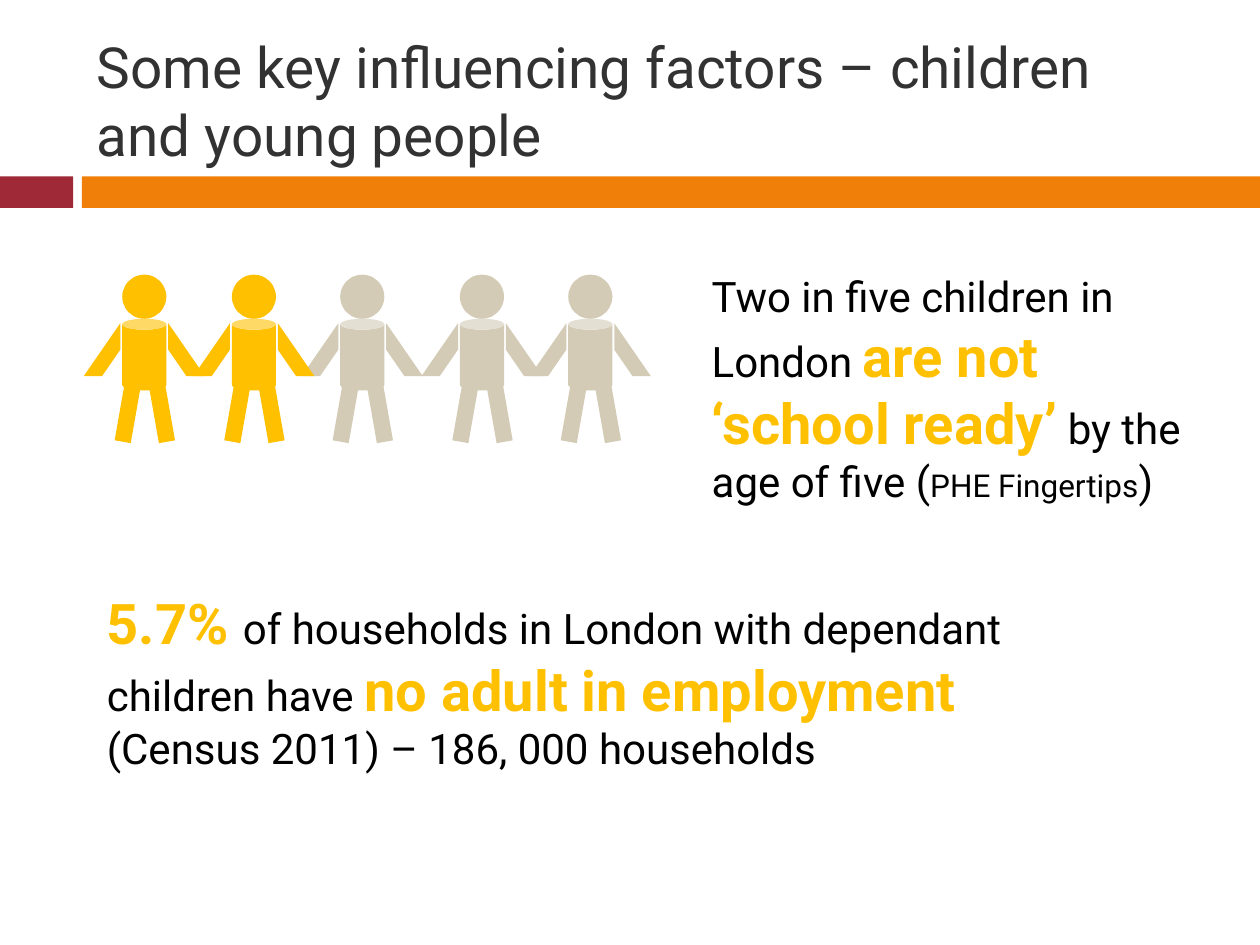
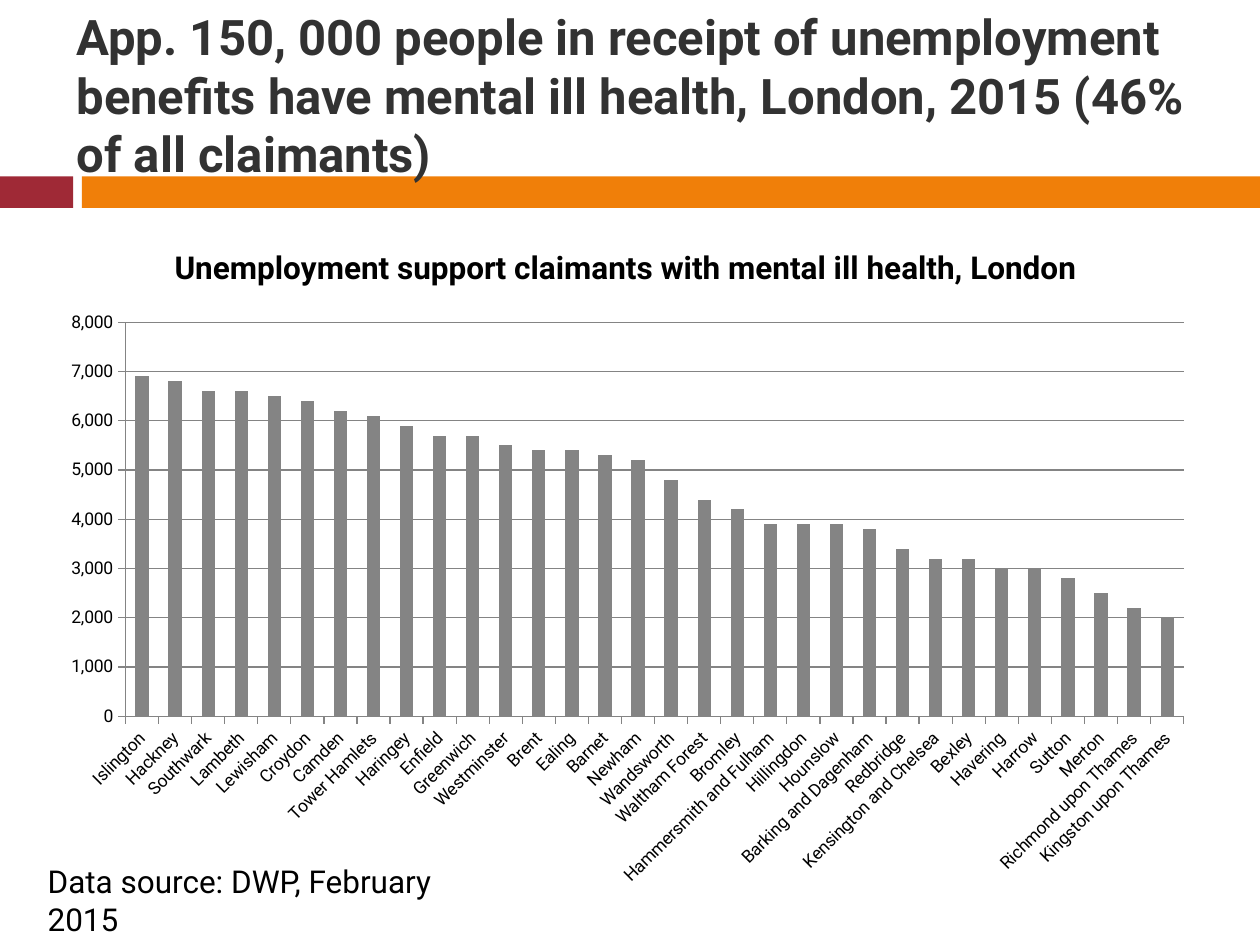
from lxml import etree
from pptx import Presentation
from pptx.chart.data import CategoryChartData
from pptx.dml.color import RGBColor
from pptx.enum.chart import XL_CHART_TYPE, XL_TICK_MARK
from pptx.enum.shapes import MSO_SHAPE
from pptx.enum.text import MSO_ANCHOR
from pptx.oxml.ns import qn
from pptx.util import Inches, Pt

RECT = MSO_SHAPE.RECTANGLE
STRIPE = MSO_SHAPE.DIAGONAL_STRIPE
CAN = MSO_SHAPE.CAN
DISC = MSO_SHAPE.FLOWCHART_CONNECTOR
COLUMN = XL_CHART_TYPE.COLUMN_CLUSTERED
OUT = XL_TICK_MARK.OUTSIDE
NONE = XL_TICK_MARK.NONE
TOP = MSO_ANCHOR.TOP
MIDDLE = MSO_ANCHOR.MIDDLE

FONT = "Roboto"
BLACK, INK, GREY = "000000", "323232", "848484"
RED, ORANGE, GOLD, SAND = "9F2936", "F07F09", "FFC000", "D3CBB6"

CLAIMS = {
    "Islington": 6900, "Hackney": 6800, "Southwark": 6600, "Lambeth": 6600,
    "Lewisham": 6500, "Croydon": 6400, "Camden": 6200, "Tower Hamlets": 6100,
    "Haringey": 5900, "Enfield": 5700, "Greenwich": 5700, "Westminster": 5500,
    "Brent": 5400, "Ealing": 5400, "Barnet": 5300, "Newham": 5200,
    "Wandsworth": 4800, "Waltham Forest": 4400, "Bromley": 4200,
    "Hammersmith and Fulham": 3900, "Hillingdon": 3900, "Hounslow": 3900,
    "Barking and Dagenham": 3800, "Redbridge": 3400,
    "Kensington and Chelsea": 3200, "Bexley": 3200, "Havering": 3000,
    "Harrow": 3000, "Sutton": 2800, "Merton": 2500,
    "Richmond upon Thames": 2200, "Kingston upon Thames": 2000,
}


def color(code):
    return RGBColor.from_string(code)


def style(font, size=24, hue=BLACK, bold=False):
    font.name, font.size, font.bold = FONT, Pt(size), bold
    font.color.rgb = color(hue)


def write(para, text, **form):
    run = para.add_run()
    run.text = text
    style(run.font, **form)


class Deck:
    """Holds the shared style and the current slide."""

    def __init__(self):
        self.file = Presentation()
        self.file.slide_width, self.file.slide_height = Inches(10), Inches(7.5)

    def page(self, title, box, **form):
        self.slide = self.file.slides.add_slide(self.file.slide_layouts[6])
        self.shape(RECT, (0, 1.4, 0.58, 0.25), RED)
        self.shape(RECT, (0.65, 1.4, 9.35, 0.25), ORANGE)
        self.text(box, [(title, dict(hue=INK, **form))], MIDDLE)

    def shape(self, kind, box, hue, turn=0, flip=False, group=None):
        shapes = (group or self.slide).shapes
        shape = shapes.add_shape(kind, *map(Inches, box))
        shape.shadow.inherit = False
        shape.fill.solid()
        shape.fill.fore_color.rgb = color(hue)
        shape.line.fill.background()
        shape.rotation = turn
        if flip:
            shape.element.spPr.find(qn("a:xfrm")).set("flipV", "1")

    def text(self, box, runs, anchor=TOP):
        frame = self.slide.shapes.add_textbox(*map(Inches, box)).text_frame
        frame.word_wrap = True
        frame.vertical_anchor = anchor
        for words, form in runs:
            write(frame.paragraphs[0], words, **form)

    def child(self, left, hue):
        group = self.slide.shapes.add_group_shape()
        parts = [
            (STRIPE, 0.3, 2.63, 0.42, 0.29, 270),
            (STRIPE, -0.37, 2.63, 0.42, 0.29, 270),
            (CAN, 0, 2.53, 0.35, 0.57, 0),
            (RECT, -0.02, 3.04, 0.13, 0.47, 10),
            (RECT, 0.25, 3.04, 0.13, 0.47, 350),
            (DISC, 0, 2.18, 0.35, 0.35, 0),
        ]
        for kind, shift, top, width, height, turn in parts:
            box = (left + shift, top, width, height)
            self.shape(kind, box, hue, turn, shift == -0.37, group)

    def chart(self, box, title, values, plot):
        data = CategoryChartData(number_format="#,##0")
        data.categories = list(values)
        data.add_series("Series 1", list(values.values()))
        frame = self.slide.shapes.add_chart(COLUMN, *map(Inches, box), data)
        chart = frame.chart
        style(chart.font, size=10)
        chart.has_legend = False
        chart.has_title = True
        write(chart.chart_title.text_frame.paragraphs[0], title, size=18, bold=True)
        chart.chart_title.include_in_layout = False
        bars = chart.plots[0]
        bars.gap_width, bars.vary_by_categories = 150, False
        fill = bars.series[0].format.fill
        fill.solid()
        fill.fore_color.rgb = color(GREY)
        names, scale = chart.category_axis, chart.value_axis
        scale.minimum_scale, scale.maximum_scale, scale.major_unit = 0, 8000, 1000
        scale.has_major_gridlines = True
        scale.tick_labels.number_format = "#,##0"
        scale.tick_labels.number_format_is_linked = False
        for axis in (names, scale):
            axis.major_tick_mark, axis.minor_tick_mark = OUT, NONE
            style(axis.tick_labels.font, size=10)
        for part in (names, scale, scale.major_gridlines):
            part.format.line.color.rgb = color(GREY)
            part.format.line.width = Pt(0.75)
        turn = names._element.find(qn("c:txPr")).find(qn("a:bodyPr"))
        turn.set("rot", "-2700000")
        self.place(chart, plot)

    def place(self, chart, plot):
        area = chart._chartSpace.find(qn("c:chart")).find(qn("c:plotArea"))
        for old in area.findall(qn("c:layout")):
            area.remove(old)
        layout = etree.Element(qn("c:layout"))
        area.insert(0, layout)
        manual = etree.SubElement(layout, qn("c:manualLayout"))
        rules = dict(layoutTarget="inner", xMode="edge", yMode="edge")
        rules.update(zip("xywh", plot))
        for key, value in rules.items():
            etree.SubElement(manual, qn("c:" + key)).set("val", str(value))


def young(deck):
    deck.page("Some key influencing factors – children and young people",
              (0.67, 0.25, 8.92, 1.08), size=32.4)
    for left in (2.7, 3.65, 4.51):
        deck.child(left, SAND)
    for left in (1.84, 0.97):
        deck.child(left, GOLD)
    plain, loud = dict(), dict(size=32, hue=GOLD, bold=True)
    deck.text((5.55, 2.1, 4.02, 2.39), [
        ("Two in five children in London ", plain),
        ("are not ‘school ready’", loud),
        (" by the age of five (", plain),
        ("PHE Fingertips", dict(size=18)),
        (")", plain),
    ])
    deck.text((0.75, 4.62, 7.8, 1.58), [
        ("5.7% ", loud),
        ("of households in London with dependant children have ", plain),
        ("no adult in employment ", loud),
        ("(Census 2011) – 186, 000 households", plain),
    ])


def claims(deck):
    deck.page("App. 150, 000 people in receipt of unemployment benefits have "
              "mental ill health, London, 2015 (46% of all claimants)",
              (0.51, 0.21, 9.13, 1.08), size=28, bold=True)
    deck.chart((0.35, 1.75, 9.23, 5.39),
               "Unemployment support claimants with mental ill health, London",
               CLAIMS, (0.07, 0.15, 0.91, 0.58))
    deck.text((0.28, 6.79, 3.86, 0.71),
              [("Data source: DWP, February 2015", dict(size=18))])


def main():
    deck = Deck()
    young(deck)
    claims(deck)
    deck.file.save("out.pptx")


if __name__ == "__main__":
    main()
